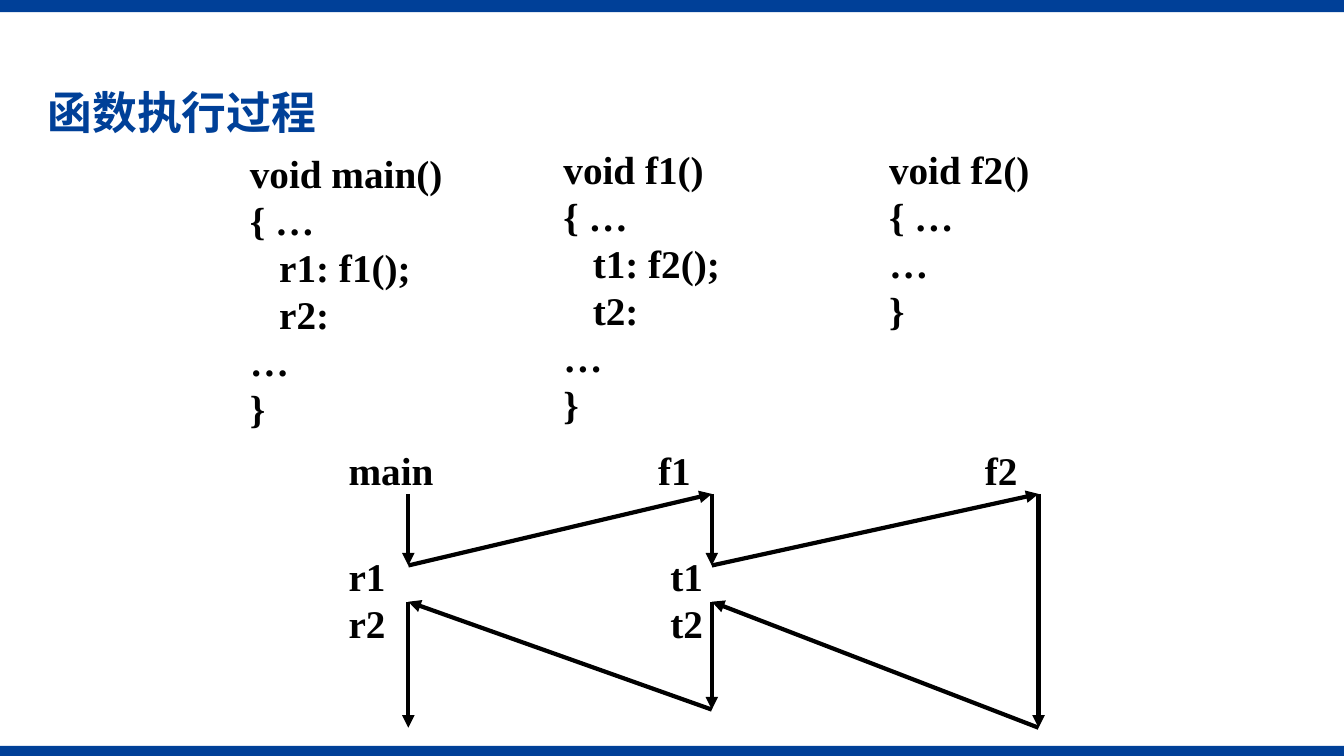
from itertools import pairwise

from lxml.etree import SubElement
from pptx import Presentation
from pptx.dml.color import RGBColor
from pptx.enum.shapes import MSO_CONNECTOR, MSO_SHAPE
from pptx.enum.text import MSO_ANCHOR, PP_ALIGN
from pptx.oxml.ns import qn
from pptx.util import Inches, Pt

COLORS = {"blue": "004098", "black": "000000"}
TITLE_FONT = "Noto Sans CJK SC"
CODE_FONT = "Times New Roman"
SLIDE_WIDTH, SLIDE_HEIGHT = 13.33, 7.5

FUNCTIONS = [
    ((2.38, 1.43, 2.68, 2.9),
     ["void main()", "{ …", "   r1: f1();", "   r2:", "…", "}"]),
    ((5.49, 1.39, 2.36, 2.9),
     ["void f1()", "{ …", "   t1: f2();", "   t2:", "…", "}"]),
    ((8.72, 1.39, 1.87, 1.97),
     ["void f2()", "{ …", "…", "}"]),
]


def color(name):
    return RGBColor.from_string(COLORS[name])


def add_bar(slide, box):
    bar = slide.shapes.add_shape(MSO_SHAPE.RECTANGLE, *map(Inches, box))
    bar.shadow.inherit = False
    bar.fill.solid()
    bar.fill.fore_color.rgb = color("blue")
    bar.line.fill.background()


def add_title(slide, box, wording):
    title = slide.shapes.title
    title.left, title.top, title.width, title.height = map(Inches, box)
    title.text_frame.text = wording
    title.text_frame.vertical_anchor = MSO_ANCHOR.MIDDLE
    paragraph = title.text_frame.paragraphs[0]
    paragraph.alignment = PP_ALIGN.LEFT
    paragraph.line_spacing = 0.9
    run = paragraph.runs[0]
    run.font.size = Pt(32)
    run.font.bold = True
    run.font.name = TITLE_FONT
    run.font.color.rgb = color("blue")
    SubElement(run.font._element, qn("a:ea"), typeface=TITLE_FONT)


def add_lines(slide, box, lines, tabs=()):
    frame = slide.shapes.add_textbox(*map(Inches, box)).text_frame
    frame.word_wrap = True
    frame.text = "\n".join(lines)
    for paragraph in frame.paragraphs:
        paragraph.line_spacing = Pt(33.6)
        if tabs:
            tab_list = SubElement(paragraph._p.get_or_add_pPr(), qn("a:tabLst"))
            for position in tabs:
                SubElement(tab_list, qn("a:tab"), pos=str(Inches(position)), algn="l")
        for run in paragraph.runs:
            run.font.size = Pt(28)
            run.font.bold = True
            run.font.name = CODE_FONT
            run.font.color.rgb = color("black")


def add_arrow(slide, start, end):
    arrow = slide.shapes.add_connector(
        MSO_CONNECTOR.STRAIGHT, *map(Inches, (*start, *end)))
    arrow.line.color.rgb = color("black")
    arrow.line.width = Pt(3)
    SubElement(arrow.line._get_or_add_ln(), qn("a:tailEnd"), type="triangle")
    SubElement(arrow._element.spPr, qn("a:effectLst"))


def add_call_flow(slide, box):
    left, top, width, height = box
    add_lines(slide, (left, top, width, 0.53), ["main\tf1\tf2"], (3.07, 6.31))
    add_lines(slide, (left, top + 1.05, width, 0.89), ["r1\tt1", "r2\tt2"], (3.19,))

    main, f1, f2 = left + 0.69, left + 3.7, left + 6.94
    entry, call, resume = top + 0.52, top + 1.23, top + 1.59
    f1_end, bottom = top + 2.66, top + height
    execution = [
        (main, entry), (main, call),
        (f1, entry), (f1, call),
        (f2, entry), (f2, bottom),
        (f1, resume), (f1, f1_end),
        (main, resume), (main, bottom),
    ]
    for start, end in pairwise(execution):
        add_arrow(slide, start, end)


def main():
    deck = Presentation()
    deck.slide_width = Inches(SLIDE_WIDTH)
    deck.slide_height = Inches(SLIDE_HEIGHT)
    slide = deck.slides.add_slide(deck.slide_layouts.get_by_name("Title Only"))
    add_bar(slide, (0, 7.4, SLIDE_WIDTH, 0.1))
    add_bar(slide, (0, 0, SLIDE_WIDTH, 0.12))
    add_title(slide, (0.37, 0.52, 8.5, 1.25), "函数执行过程")
    add_call_flow(slide, (3.36, 4.38, 7.64, 2.84))
    for box, code in FUNCTIONS:
        add_lines(slide, box, code)
    deck.save("out.pptx")


if __name__ == "__main__":
    main()
